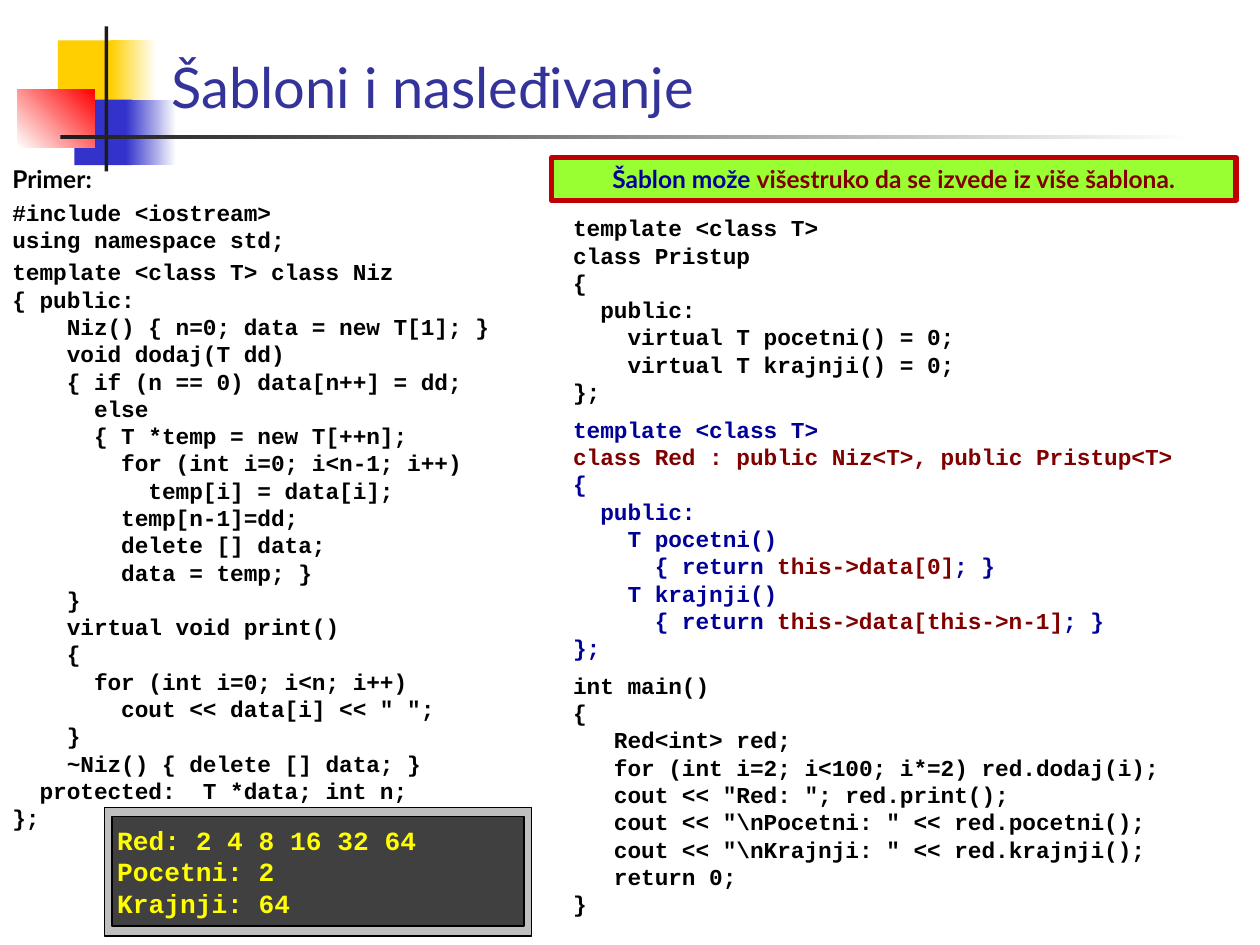
from dataclasses import dataclass

from pptx import Presentation
from pptx.dml.color import RGBColor
from pptx.enum import shapes, text
from pptx.util import Inches, Pt

COLORS = {
    "yellow": "FFCF01", "blue": "3333CC", "red": "FF0000", "white": "FFFFFF",
    "ink": "1C1C1C", "title": "333399", "black": "000000", "navy": "000099",
    "maroon": "800000", "lime": "99FF33", "frame": "C00000",
    "bezel": "BFBFBF", "screen": "404040", "output": "FFFF00",
}
SANS, MONO = "Lato", "Courier New"
LINE_HEIGHT = 1.2
ACCENT_MARK = "§"  # text between two marks takes the accent colour


@dataclass
class Bar:
    box: tuple[float, float, float, float]
    start: str
    end: str = ""
    angle: int = 0


@dataclass
class Block:
    """Lines of one style; the gap comes before the first of them."""
    lines: str
    color: str = "black"
    size: int = 13
    font: str = MONO
    gap: int = 0
    hanging: float = 0.38


BARS = [
    Bar((0.46, 0.32, 0.48, 0.52), "yellow"),
    Bar((0.88, 0.32, 0.36, 0.52), "yellow", "white"),
    Bar((0.59, 0.79, 0.46, 0.52), "blue"),
    Bar((1, 0.79, 0.4, 0.52), "blue", "white"),
    Bar((0.14, 0.71, 0.61, 0.46), "white", "red", 45),
    Bar((0.83, 0.21, 0.03, 1.15), "ink"),
    Bar((0.48, 1.07, 9, 0.03), "ink", "white"),
]

BASE_CODE = [
    Block("Primer:", size=14, font=SANS),
    Block("#include <iostream>\nusing namespace std;", gap=3),
    Block(r'''template <class T> class Niz
{ public:
    Niz() { n=0; data = new T[1]; }
    void dodaj(T dd)
    { if (n == 0) data[n++] = dd;
      else
      { T *temp = new T[++n];
        for (int i=0; i<n-1; i++)
          temp[i] = data[i];
        temp[n-1]=dd;
        delete [] data;
        data = temp; }
    }
    virtual void print()
    {
      for (int i=0; i<n; i++)
        cout << data[i] << " ";
    }
    ~Niz() { delete [] data; }
  protected:  T *data; int n;
};''', gap=3),
]

DERIVED_CODE = [
    Block(r'''template <class T>
class Pristup
{
  public:
    virtual T pocetni() = 0;
    virtual T krajnji() = 0;
};''', gap=6),
    Block(r'''template <class T>
§class Red : public Niz<T>, public Pristup<T>§
{
  public:
    T pocetni()
      { return §this->data[0]§; }
    T krajnji()
      { return §this->data[this->n-1]§; }
};''', "navy", gap=6),
    Block(r'''int main()
{
   Red<int> red;
   for (int i=2; i<100; i*=2) red.dodaj(i);
   cout << "Red: "; red.print();
   cout << "\nPocetni: " << red.pocetni();
   cout << "\nKrajnji: " << red.krajnji();
   return 0;
}''', gap=6),
]

RULE = [Block("Šablon može §višestruko da se izvede iz više šablona.§",
              "navy", 14, SANS, hanging=0)]
OUTPUT = [Block("Red: 2 4 8 16 32 64\nPocetni: 2\nKrajnji: 64",
                "output", 15, hanging=0)]


def rgb(name: str) -> RGBColor:
    return RGBColor.from_string(COLORS[name])


def add_box(parent, box, fill="", line="", width=0.0,
            kind=shapes.MSO_SHAPE.RECTANGLE):
    shape = parent.add_shape(kind, *map(Inches, box))
    shape.shadow.inherit = False
    if fill:
        shape.fill.solid()
        shape.fill.fore_color.rgb = rgb(fill)
    else:
        shape.fill.background()
    if line:
        shape.line.color.rgb = rgb(line)
        shape.line.width = Pt(width)
    else:
        shape.line.fill.background()
    return shape


def add_bar(parent, bar: Bar) -> None:
    shape = add_box(parent, bar.box, bar.start)
    if bar.end:
        shape.fill.gradient()
        shape.fill.gradient_angle = bar.angle
        for stop, color in zip(shape.fill.gradient_stops, (bar.start, bar.end)):
            stop.color.rgb = rgb(color)


def format_frame(frame, **values) -> None:
    for name, value in values.items():
        setattr(frame, name, value)


def write(frame, blocks: list[Block], align=text.PP_ALIGN.LEFT) -> None:
    frame.word_wrap = True
    paragraph = None
    for block in blocks:
        for number, line in enumerate(block.lines.split("\n")):
            paragraph = frame.add_paragraph() if paragraph else frame.paragraphs[0]
            paragraph.alignment = align
            paragraph.line_spacing = Pt(block.size * LINE_HEIGHT)
            paragraph.space_before = Pt(0 if number else block.gap)
            if block.hanging:
                properties = paragraph._p.get_or_add_pPr()
                properties.set("marL", str(Inches(block.hanging)))
                properties.set("indent", str(-Inches(block.hanging)))
            for part, words in enumerate(line.split(ACCENT_MARK)):
                if not words:
                    continue
                run = paragraph.add_run()
                run.text = words
                style = {"name": block.font, "size": Pt(block.size), "bold": True}
                for name, value in style.items():
                    setattr(run.font, name, value)
                run.font.color.rgb = rgb("maroon" if part % 2 else block.color)


def add_title(slide, words: str) -> None:
    title = slide.shapes.title
    title.left, title.top, title.width, title.height = map(
        Inches, (1.26, 0.13, 8.74, 0.87))
    frame = title.text_frame
    format_frame(frame, text=words, auto_size=text.MSO_AUTO_SIZE.NONE,
                 vertical_anchor=text.MSO_ANCHOR.BOTTOM)
    heading = frame.paragraphs[0]
    heading.alignment = text.PP_ALIGN.LEFT
    for name, value in {"name": SANS, "size": Pt(32)}.items():
        setattr(heading.runs[0].font, name, value)
    heading.runs[0].font.color.rgb = rgb("title")
    title.element.getparent().append(title.element)  # in front of the bars


def add_console(slide) -> None:
    console = slide.shapes.add_group_shape()
    add_box(console.shapes, (0.83, 6.41, 3.39, 1.02), "bezel", "black")
    add_box(console.shapes, (0.89, 6.48, 3.27, 0.87), "screen", "black")
    output = add_box(slide.shapes, (0.93, 6.49, 3.13, 0.86),
                     kind=shapes.MSO_SHAPE.ROUNDED_RECTANGLE)
    output.adjustments[0] = 0
    format_frame(output.text_frame, margin_left=0, margin_right=0,
                 vertical_anchor=text.MSO_ANCHOR.TOP,
                 auto_size=text.MSO_AUTO_SIZE.SHAPE_TO_FIT_TEXT)
    write(output.text_frame, OUTPUT)


def main() -> None:
    deck = Presentation()
    deck.slide_width, deck.slide_height = Inches(10), Inches(7.5)
    slide = deck.slides.add_slide(deck.slide_layouts[5])
    for bar in BARS:
        add_bar(slide.shapes, bar)
    add_title(slide, "Šabloni i nasleđivanje")
    rule = add_box(slide.shapes, (4.38, 1.25, 5.43, 0.34), "lime", "frame", 3)
    write(rule.text_frame, RULE, text.PP_ALIGN.CENTER)
    for box, code in (((4.45, 1.65, 5.55, 5.78), DERIVED_CODE),
                      ((0, 1.25, 4.53, 6.02), BASE_CODE)):
        write(slide.shapes.add_textbox(*map(Inches, box)).text_frame, code)
    add_console(slide)
    deck.save("out.pptx")


if __name__ == "__main__":
    main()
